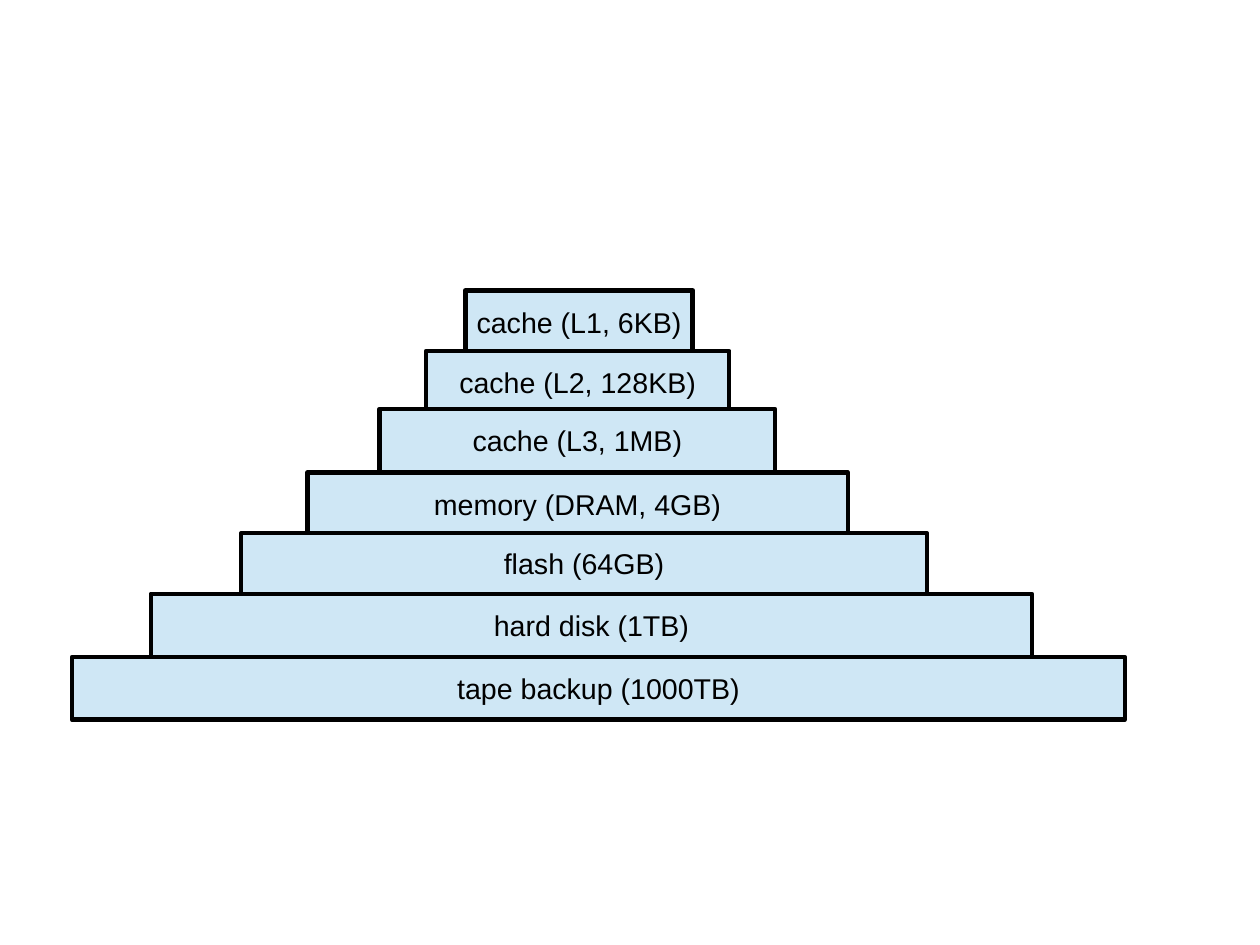
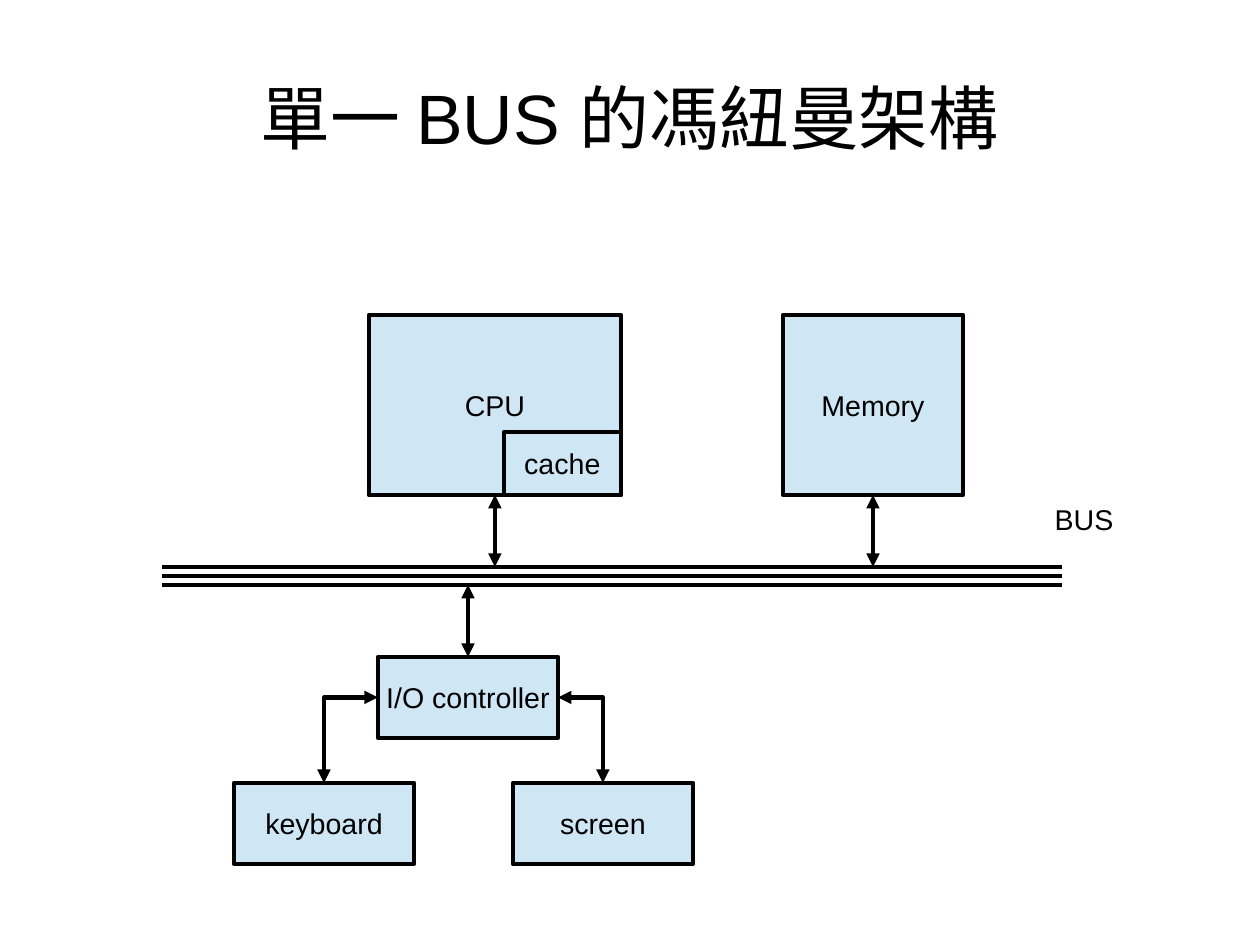
import lxml.etree
import pptx
import pptx.dml.color
import pptx.enum.shapes
import pptx.enum.text
import pptx.oxml.ns
import pptx.util

Pt = pptx.util.Pt
RGBColor = pptx.dml.color.RGBColor
MSO_SHAPE = pptx.enum.shapes.MSO_SHAPE
MSO_CONNECTOR = pptx.enum.shapes.MSO_CONNECTOR
MSO_ANCHOR = pptx.enum.text.MSO_ANCHOR
MSO_AUTO_SIZE = pptx.enum.text.MSO_AUTO_SIZE
PP_ALIGN = pptx.enum.text.PP_ALIGN
qn = pptx.oxml.ns.qn

SLIDE_SIZE = (793.7, 595.28)
INK = RGBColor(0x00, 0x00, 0x00)
PALE_BLUE = RGBColor(0xCF, 0xE7, 0xF5)
FONT = "Arial"
TITLE_SIZE, LABEL_SIZE = 44, 18
LINE_WIDTH = 2.83
TITLE_BOX = (39.7, 23.75, 714.3, 99.4)
TOP, LEFT, BOTTOM, RIGHT = range(4)

LEVELS = (
    ("cache (L1, 6KB)", 247.7, 0, 143.3, 39.6),
    ("cache (L2, 128KB)", 223, 38.2, 191, 39.6),
    ("cache (L3, 1MB)", 193.8, 74.75, 249, 39.6),
    ("memory (DRAM, 4GB)", 148.2, 114.75, 340.5, 39.6),
    ("flash (64GB)", 106.5, 153, 432, 38.2),
    ("hard disk (1TB)", 49.6, 191.25, 555.2, 39.6),
    ("tape backup (1000TB)", 0, 230.9, 663.2, 39.6),
)


def write_text(shape, text, size, align, anchor):
    """Put one formatted paragraph into a shape."""
    frame = shape.text_frame
    frame.text = text
    frame.vertical_anchor = anchor
    para = frame.paragraphs[0]
    para.alignment = align
    for span in para.runs:
        span.font.name = FONT
        span.font.size = Pt(size)
        span.font.color.rgb = INK


def add_title(slide, text):
    """Fill and place the title placeholder."""
    title = slide.shapes.title
    title.left, title.top, title.width, title.height = map(Pt, TITLE_BOX)
    frame = title.text_frame
    frame.margin_left = frame.margin_right = 0
    frame.margin_top = frame.margin_bottom = 0
    frame.auto_size = MSO_AUTO_SIZE.NONE
    write_text(title, text, TITLE_SIZE, PP_ALIGN.CENTER, MSO_ANCHOR.MIDDLE)


def add_block(slide, text, left, top, width, height):
    """Draw a labelled pale blue block."""
    block = slide.shapes.add_shape(
        MSO_SHAPE.RECTANGLE, Pt(left), Pt(top), Pt(width), Pt(height))
    block.shadow.inherit = False
    block.fill.solid()
    block.fill.fore_color.rgb = PALE_BLUE
    block.line.color.rgb = INK
    block.line.width = Pt(LINE_WIDTH)
    block.text_frame.word_wrap = False
    write_text(block, text, LABEL_SIZE, PP_ALIGN.CENTER, MSO_ANCHOR.MIDDLE)
    return block


def add_line(slide, start, end, kind=MSO_CONNECTOR.STRAIGHT):
    """Draw a plain line between two points given in slide lengths."""
    line = slide.shapes.add_connector(kind, *start, *end)
    line.line.color.rgb = INK
    line.line.width = Pt(LINE_WIDTH)
    lxml.etree.SubElement(line.element.spPr, qn("a:effectLst"))
    return line


def add_arrowheads(line):
    """Put a triangle on both ends of a line."""
    outline = line.element.spPr.find(qn("a:ln"))
    for tag in ("a:headEnd", "a:tailEnd"):
        lxml.etree.SubElement(outline, qn(tag), type="triangle")


def add_bus_link(slide, block, site, bus_edge):
    """Join the middle of a block side to the bus with a double arrow."""
    center = block.left + block.width // 2
    edge = block.top if site == TOP else block.top + block.height
    link = add_line(slide, (center, edge), (center, bus_edge))
    link.begin_connect(block, site)
    add_arrowheads(link)


def add_device_link(slide, controller, site, device):
    """Join a controller side to a device top with one right-angled bend."""
    side = controller.left + (controller.width if site == RIGHT else 0)
    start = (side, controller.top + controller.height // 2)
    end = (device.left + device.width // 2, device.top)
    link = add_line(slide, start, end, MSO_CONNECTOR.ELBOW)
    link.element.spPr.find(qn("a:prstGeom")).set("prst", "bentConnector2")
    link.begin_connect(controller, site)
    link.end_connect(device, TOP)
    add_arrowheads(link)


def add_memory_pyramid(slide, left, top):
    """Stack the memory levels from the smallest to the largest."""
    for text, across, down, width, height in LEVELS:
        add_block(slide, text, left + across, top + down, width, height)


def add_bus(slide, left, top, width, gap):
    """Draw the three bus lines and return the upper and lower edges."""
    edges = [Pt(top + number * gap) for number in range(3)]
    for edge in edges:
        add_line(slide, (Pt(left), edge), (Pt(left + width), edge))
    return edges[0], edges[-1]


def add_bus_label(slide, left, top, width, height):
    """Write the name of the bus."""
    label = slide.shapes.add_textbox(Pt(left), Pt(top), Pt(width), Pt(height))
    label.text_frame.word_wrap = False
    label.text_frame.auto_size = MSO_AUTO_SIZE.SHAPE_TO_FIT_TEXT
    write_text(label, "BUS", LABEL_SIZE, PP_ALIGN.LEFT, MSO_ANCHOR.TOP)


def add_bus_diagram(slide, left, top):
    """Draw the processor, memory and devices around a single bus."""
    unit, device_height = 113.4, 51
    cpu_left, cpu_width = left + 130.4, 158.7
    cache_width, cache_height = 73.7, 39.7
    upper, lower = add_bus(slide, left, top + 158.7, 566.9, 5.67)
    add_bus_label(slide, left + 555.3, top + 114.5, 51.4, 27.4)

    cpu = add_block(slide, "CPU", cpu_left, top, cpu_width, unit)
    memory = add_block(slide, "Memory", left + 391.2, top, unit, unit)
    add_block(slide, "cache", cpu_left + cpu_width - cache_width,
              top + unit - cache_height, cache_width, cache_height)
    controller, keyboard, screen = [
        add_block(slide, text, left + across, top + down, unit, device_height)
        for text, across, down in (("I/O controller", 136.1, 215.4),
                                   ("keyboard", 45.4, 294.8),
                                   ("screen", 221.1, 294.8))]

    add_bus_link(slide, cpu, BOTTOM, upper)
    add_bus_link(slide, memory, BOTTOM, upper)
    add_bus_link(slide, controller, TOP, lower)
    add_device_link(slide, controller, LEFT, keyboard)
    add_device_link(slide, controller, RIGHT, screen)


def main():
    """Build and save the two slides."""
    deck = pptx.Presentation()
    deck.slide_width, deck.slide_height = map(Pt, SLIDE_SIZE)
    title_only, blank = deck.slide_layouts[5], deck.slide_layouts[6]

    add_memory_pyramid(deck.slides.add_slide(blank), 45.4, 182.9)

    bus_slide = deck.slides.add_slide(title_only)
    add_title(bus_slide, "單一 BUS 的馮紐曼架構")
    add_bus_diagram(bus_slide, 102, 198.4)

    deck.save("out.pptx")


if __name__ == "__main__":
    main()
